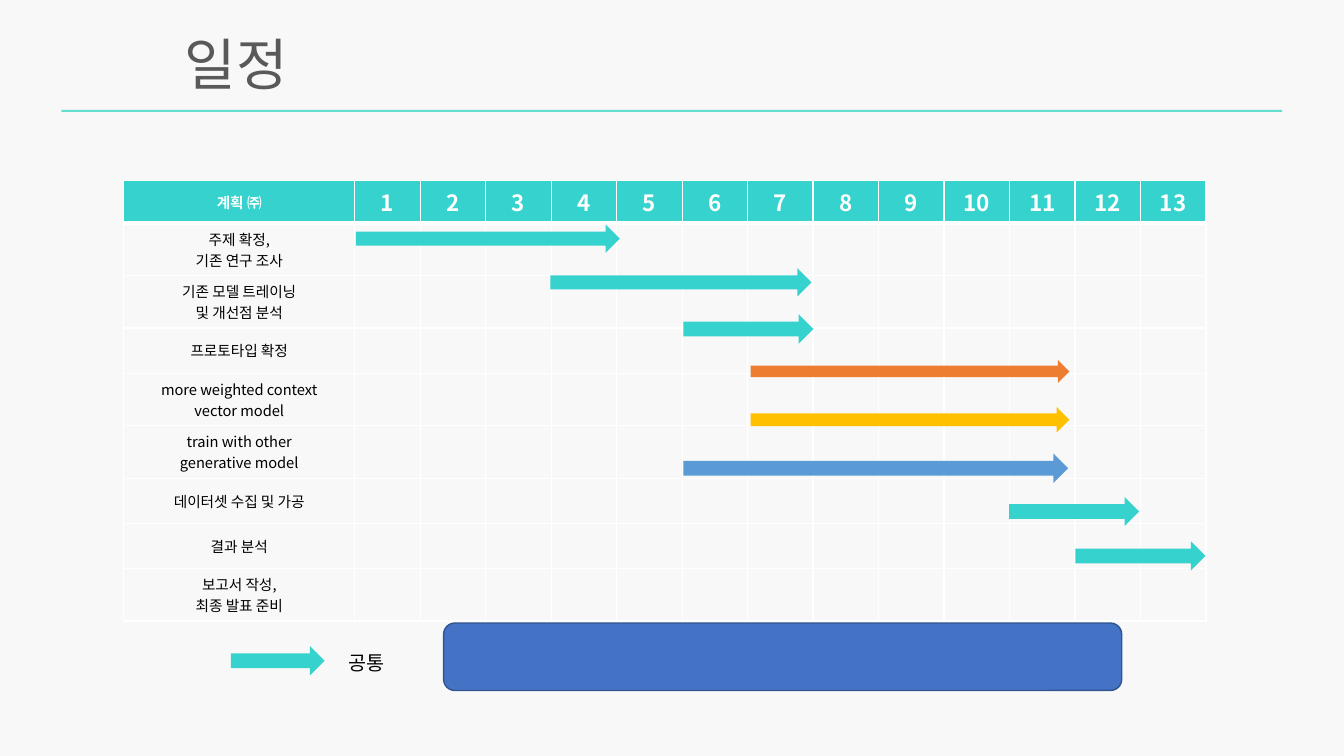
from lxml import etree
from pptx import Presentation
from pptx.dml.color import RGBColor
from pptx.enum.shapes import MSO_SHAPE
from pptx.enum.text import MSO_ANCHOR, PP_ALIGN
from pptx.oxml.ns import qn
from pptx.util import Cm, Pt

RECTANGLE = MSO_SHAPE.RECTANGLE
ROUNDED = MSO_SHAPE.ROUNDED_RECTANGLE
ARROW = MSO_SHAPE.RIGHT_ARROW
MIDDLE = MSO_ANCHOR.MIDDLE
LEFT, CENTER = PP_ALIGN.LEFT, PP_ALIGN.CENTER

FONT = "Noto Sans CJK KR"
COLORS = {
    "background": "F8F8F8", "rule": "64DECF", "teal": "36D2CE",
    "orange": "ED7D31", "yellow": "FFC000", "sky": "5B9BD5",
    "blue": "4472C4", "outline": "325491",
    "title": "595959", "white": "FFFFFF", "black": "000000",
}


def write_lines(text_frame, lines, size, color, alignment, bold=False):
    for index, line in enumerate(lines):
        paragraph = text_frame.paragraphs[0] if index == 0 else text_frame.add_paragraph()
        paragraph.alignment = alignment
        run = paragraph.add_run()
        run.text = line
        run.font.size = Pt(size)
        run.font.bold = bold
        run.font.color.rgb = RGBColor.from_string(COLORS[color])
        run.font.name = FONT
        etree.SubElement(run.font._element, qn("a:ea"), typeface=FONT)


def add_filled_shape(kind, left, top, width, height, color):
    shape = slide.shapes.add_shape(kind, Cm(left), Cm(top), Cm(width), Cm(height))
    shape.shadow.inherit = False
    shape.fill.solid()
    shape.fill.fore_color.rgb = RGBColor.from_string(COLORS[color])
    shape.line.fill.background()
    return shape


presentation = Presentation()
presentation.slide_width = Cm(33.87)
presentation.slide_height = Cm(19.05)
slide = presentation.slides.add_slide(presentation.slide_layouts[5])
slide.background.fill.solid()
slide.background.fill.fore_color.rgb = RGBColor.from_string(COLORS["background"])

# Title and the rule below it
title = slide.shapes.title
title.left, title.top, title.width, title.height = Cm(4.4), Cm(0.61), Cm(27.91), Cm(1.96)
title.text_frame.vertical_anchor = MIDDLE
write_lines(title.text_frame, ["일정"], 40, "title", LEFT)
add_filled_shape(RECTANGLE, 1.55, 2.77, 30.76, 0.05, "rule")

# Schedule table: one column per week, one row per task
WEEKS = 13
TASKS = [
    ["주제 확정,", "기존 연구 조사"],
    ["기존 모델 트레이닝", "및 개선점 분석"],
    ["프로토타입 확정"],
    ["more weighted context", "vector model"],
    ["train with other", "generative model"],
    ["데이터셋 수집 및 가공"],
    ["결과 분석"],
    ["보고서 작성,", "최종 발표 준비"],
]
table = slide.shapes.add_table(
    len(TASKS) + 1, WEEKS + 1, Cm(3.12), Cm(4.55), Cm(27.27), Cm(9.96)).table
table.horz_banding = False
for index, column in enumerate(table.columns):
    column.width = Cm(1.65 if index else 5.82)
for index, row in enumerate(table.rows):
    row.height = Cm(1.14 if index else 0.84)

for row_index, row in enumerate(table.rows):
    for column_index, cell in enumerate(row.cells):
        is_header = row_index == 0
        cell.vertical_anchor = MIDDLE
        borders = {"a:lnL": 1, "a:lnR": 1,
                   "a:lnT": 3 if row_index == 1 else 1,
                   "a:lnB": 3 if is_header else 1}
        for tag, width in borders.items():
            border = etree.SubElement(
                cell._tc.get_or_add_tcPr(), qn(tag), w=str(Pt(width)))
            fill = etree.SubElement(border, qn("a:solidFill"))
            etree.SubElement(fill, qn("a:srgbClr"), val=COLORS["white"])
        if is_header:
            cell.fill.solid()
            cell.fill.fore_color.rgb = RGBColor.from_string(COLORS["teal"])
            label, size = (str(column_index), 16) if column_index else ("계획 ㈜", 10.5)
            write_lines(cell.text_frame, [label], size, "white", CENTER, bold=True)
        else:
            cell.fill.background()
            if column_index == 0:
                write_lines(cell.text_frame, TASKS[row_index - 1], 10.5, "black", CENTER)

# Task arrows, then the legend arrow: left, top, width, height, color
ARROWS = [
    (8.97, 5.66, 6.65, 0.71, "teal"),
    (13.87, 6.76, 6.58, 0.71, "teal"),
    (17.22, 7.92, 3.28, 0.74, "teal"),
    (18.92, 9.07, 8.03, 0.58, "orange"),
    (18.92, 10.26, 8.03, 0.64, "yellow"),
    (17.22, 11.43, 9.7, 0.74, "sky"),
    (25.43, 12.52, 3.28, 0.74, "teal"),
    (27.1, 13.64, 3.28, 0.74, "teal"),
    (5.82, 16.28, 2.36, 0.74, "teal"),
]
for arrow in ARROWS:
    add_filled_shape(ARROW, *arrow)

# Legend label and the box beside it
legend = slide.shapes.add_textbox(Cm(8.53), Cm(16.28), Cm(2.36), Cm(0.86))
legend.text_frame.word_wrap = True
legend.text_frame.vertical_anchor = MIDDLE
write_lines(legend.text_frame, ["공통"], 14, "black", LEFT)
legend_box = add_filled_shape(ROUNDED, 11.18, 15.7, 17.09, 1.7, "blue")
legend_box.line.color.rgb = RGBColor.from_string(COLORS["outline"])
legend_box.line.width = Pt(1)

presentation.save("out.pptx")
